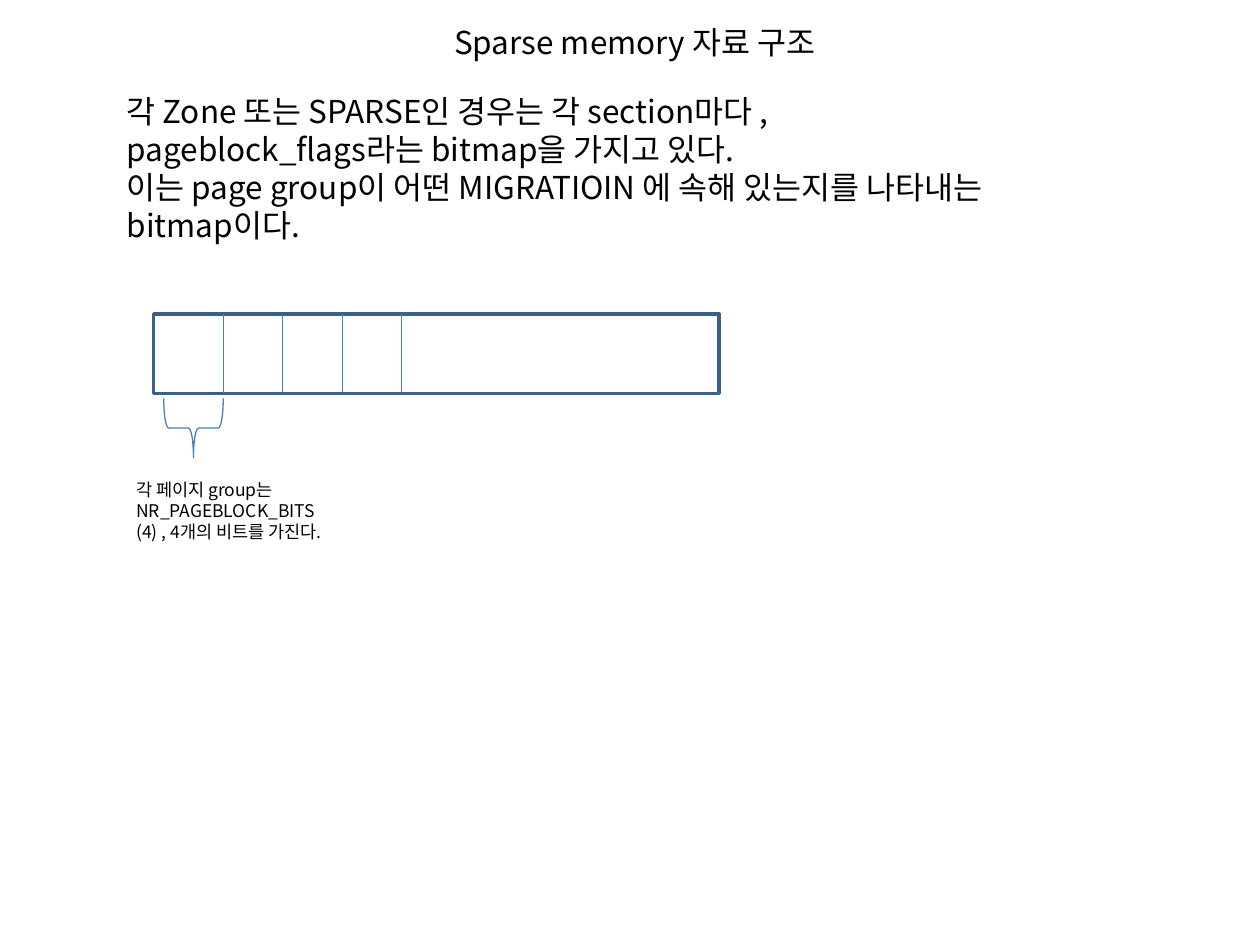
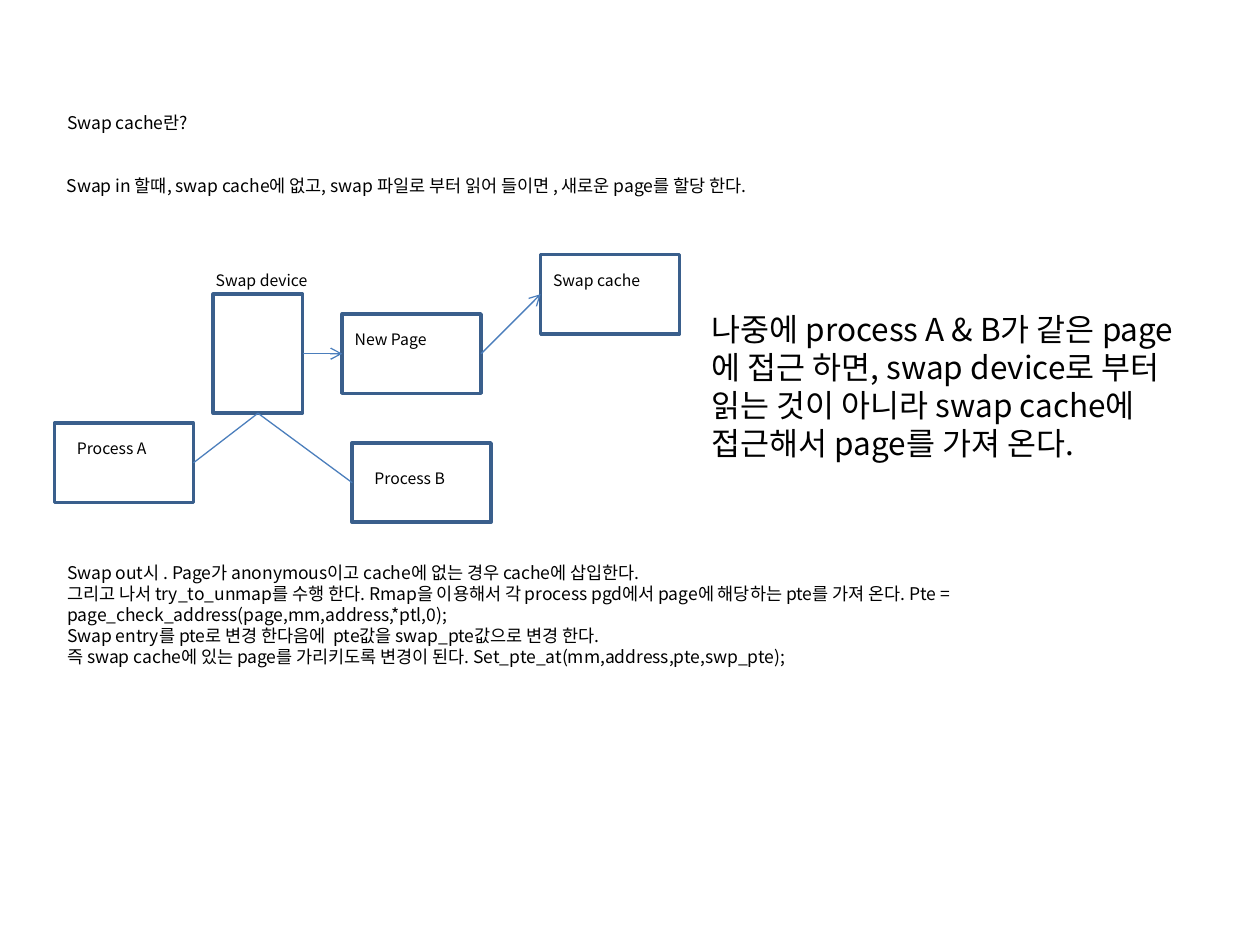
"""Builds two slides on sparse memory bitmaps and the swap cache."""
from dataclasses import dataclass

from lxml.etree import SubElement
from pptx import Presentation
from pptx.dml.color import RGBColor
from pptx.enum.shapes import MSO_CONNECTOR, MSO_SHAPE
from pptx.enum.text import MSO_ANCHOR, MSO_AUTO_SIZE, PP_ALIGN
from pptx.oxml.ns import qn
from pptx.util import Emu, Inches, Pt

SLIDE_WIDTH, SLIDE_HEIGHT = Inches(10), Inches(7.5)
CELL = SLIDE_WIDTH / 127
COLUMN_OFFSET, ROW_OFFSET = 0.5, 0.65
FONT = "Noto Sans CJK KR"
BLACK = RGBColor(0x00, 0x00, 0x00)
OUTLINE_BLUE = RGBColor(0x3A, 0x5F, 0x8C)
LINE_BLUE = RGBColor(0x4B, 0x7E, 0xBC)
LARGE, SMALL, LABEL = 18, 10, 9
TOP, LEFT, BOTTOM, RIGHT = range(4)


@dataclass(frozen=True)
class Place:
    column: float
    row: float
    columns: float
    rows: float

    def bounds(self) -> tuple[Emu, Emu, Emu, Emu]:
        return (across(self.column), down(self.row),
                Emu(round(self.columns * CELL)), Emu(round(self.rows * CELL)))


@dataclass(frozen=True)
class Node:
    place: Place
    label: str
    label_place: Place


@dataclass(frozen=True)
class Link:
    start: str
    start_side: int
    end: str
    end_side: int
    arrow: bool = False


BITMAP = Place(15, 31, 57, 8)
GROUP_COLUMNS = 6
FIRST_DIVIDER = 22
DIVIDERS = 4

NODES = [
    Node(Place(5, 42, 14, 8), "Process A", Place(6, 43, 12, 3)),
    Node(Place(35, 44, 14, 8), "Process B", Place(36, 46, 12, 3)),
    Node(Place(34, 31, 14, 8), "New Page", Place(34, 32, 12, 3)),
    Node(Place(54, 25, 14, 8), "Swap cache", Place(54, 26, 16, 3)),
    Node(Place(21, 29, 9, 12), "Swap device", Place(20, 26, 12, 3)),
]
LINKS = [
    Link("Process A", RIGHT, "Swap device", BOTTOM),
    Link("Process B", LEFT, "Swap device", BOTTOM),
    Link("New Page", RIGHT, "Swap cache", LEFT, arrow=True),
    Link("Swap device", RIGHT, "New Page", LEFT, arrow=True),
]


def across(column: float) -> Emu:
    return Emu(round((column + COLUMN_OFFSET) * CELL))


def down(row: float) -> Emu:
    return Emu(round((row + ROW_OFFSET) * CELL))


def write(box, lines: list[str], size: int) -> None:
    """Fills a text shape with plain, left-aligned paragraphs."""
    frame = box.text_frame
    frame.text = "\n".join(lines)
    frame.word_wrap = True
    frame.auto_size = MSO_AUTO_SIZE.NONE
    frame.vertical_anchor = MSO_ANCHOR.TOP
    for para in frame.paragraphs:
        para.alignment = PP_ALIGN.LEFT
        para.line_spacing = Pt(1.2 * size)
        para.space_before = Pt(0)
        for span in para.runs:
            span.font.size = Pt(size)
            span.font.color.rgb = BLACK
            span.font.name = FONT
            SubElement(span.font._element, qn("a:ea"), typeface=FONT)


def add_text(page, place: Place, line: str, size: int) -> None:
    write(page.shapes.add_textbox(*place.bounds()), [line], size)


def fill_placeholder(holder, place: Place, lines: list[str], size: int) -> None:
    """Moves a template placeholder and writes it without bullets."""
    holder.left, holder.top, holder.width, holder.height = place.bounds()
    write(holder, lines, size)
    for para in holder.text_frame.paragraphs:
        properties = para._p.get_or_add_pPr()
        properties.set("marL", "0")
        properties.set("indent", "0")
        SubElement(properties, qn("a:buNone"))


def add_outline(page, kind: MSO_SHAPE, place: Place, color: RGBColor, width: float):
    shape = page.shapes.add_shape(kind, *place.bounds())
    shape.shadow.inherit = False
    shape.fill.background()
    shape.line.color.rgb = color
    shape.line.width = Pt(width)
    return shape


def add_line(page, start: tuple[Emu, Emu], end: tuple[Emu, Emu], arrow: bool = False):
    line = page.shapes.add_connector(MSO_CONNECTOR.STRAIGHT, *start, *end)
    line.line.color.rgb = LINE_BLUE
    line.line.width = Pt(0.75)
    properties = line._element.spPr
    if arrow:
        SubElement(properties.find(qn("a:ln")), qn("a:tailEnd"), type="arrow")
    SubElement(properties, qn("a:effectLst"))
    return line


def add_page(deck, title: str, title_place: Place, title_size: int,
             body: list[str], body_place: Place, body_size: int):
    """Adds a slide with its title and body placeholders filled."""
    page = deck.slides.add_slide(deck.slide_layouts[1])
    fill_placeholder(page.shapes.title, title_place, [title], title_size)
    fill_placeholder(page.placeholders[1], body_place, body, body_size)
    return page


def build_sparse_memory(deck) -> None:
    page = add_page(
        deck, "Sparse memory 자료 구조", Place(44, 1, 42, 5), LARGE,
        ["각 Zone 또는 SPARSE인 경우는 각 section마다 , pageblock_flags라는 bitmap을 가지고 있다.",
         "이는 page group이 어떤 MIGRATIOIN 에 속해 있는지를 나타내는 bitmap이다."],
        Place(11, 8, 91, 16.6), LARGE)
    add_outline(page, MSO_SHAPE.RECTANGLE, BITMAP, OUTLINE_BLUE, 2)
    for index in range(DIVIDERS):
        x = across(FIRST_DIVIDER + index * GROUP_COLUMNS)
        add_line(page, (x, down(BITMAP.row)), (x, down(BITMAP.row + BITMAP.rows)))
    brace = add_outline(page, MSO_SHAPE.RIGHT_BRACE,
                        Place(16, 39.5, GROUP_COLUMNS, GROUP_COLUMNS), LINE_BLUE, 0.75)
    brace.rotation = 90
    add_text(page, Place(12, 47, 23, 7.8),
             "각 페이지 group는 NR_PAGEBLOCK_BITS (4) , 4개의 비트를 가진다.", SMALL)


def build_swap_cache(deck) -> None:
    page = add_page(
        deck, "Swap cache란?", Place(5, 10, 97, 4), SMALL,
        ["Swap out시 . Page가 anonymous이고 cache에 없는 경우 cache에 삽입한다.",
         "그리고 나서 try_to_unmap를 수행 한다. Rmap을 이용해서 각 process pgd에서 page에 "
         "해당하는 pte를 가져 온다. Pte = page_check_address(page,mm,address,*ptl,0);",
         "Swap entry를 pte로 변경 한다음에  pte값을 swap_pte값으로 변경 한다.",
         "즉 swap cache에 있는 page를 가리키도록 변경이 된다. "
         "Set_pte_at(mm,address,pte,swp_pte);"],
        Place(5, 55.4, 97, 18), SMALL)
    add_text(page, Place(5, 16.4, 97, 4),
             "Swap in 할때, swap cache에 없고, swap 파일로 부터 읽어 들이면 , "
             "새로운 page를 할당 한다.", SMALL)
    boxes = {}
    for node in NODES:
        boxes[node.label] = add_outline(page, MSO_SHAPE.RECTANGLE, node.place, OUTLINE_BLUE, 2)
        add_text(page, node.label_place, node.label, LABEL)
    for link in LINKS:
        line = add_line(page, (Emu(0), Emu(0)), (Emu(0), Emu(0)), link.arrow)
        line.begin_connect(boxes[link.start], link.start_side)
        line.end_connect(boxes[link.end], link.end_side)
    add_text(page, Place(70, 30, 51, 20.6),
             "나중에 process A & B가 같은 page에 접근 하면, swap device로 부터 읽는 것이 "
             "아니라 swap cache에 접근해서 page를 가져 온다.", LARGE)


def main() -> None:
    deck = Presentation()
    deck.slide_width, deck.slide_height = SLIDE_WIDTH, SLIDE_HEIGHT
    build_sparse_memory(deck)
    build_swap_cache(deck)
    deck.save("out.pptx")


if __name__ == "__main__":
    main()
